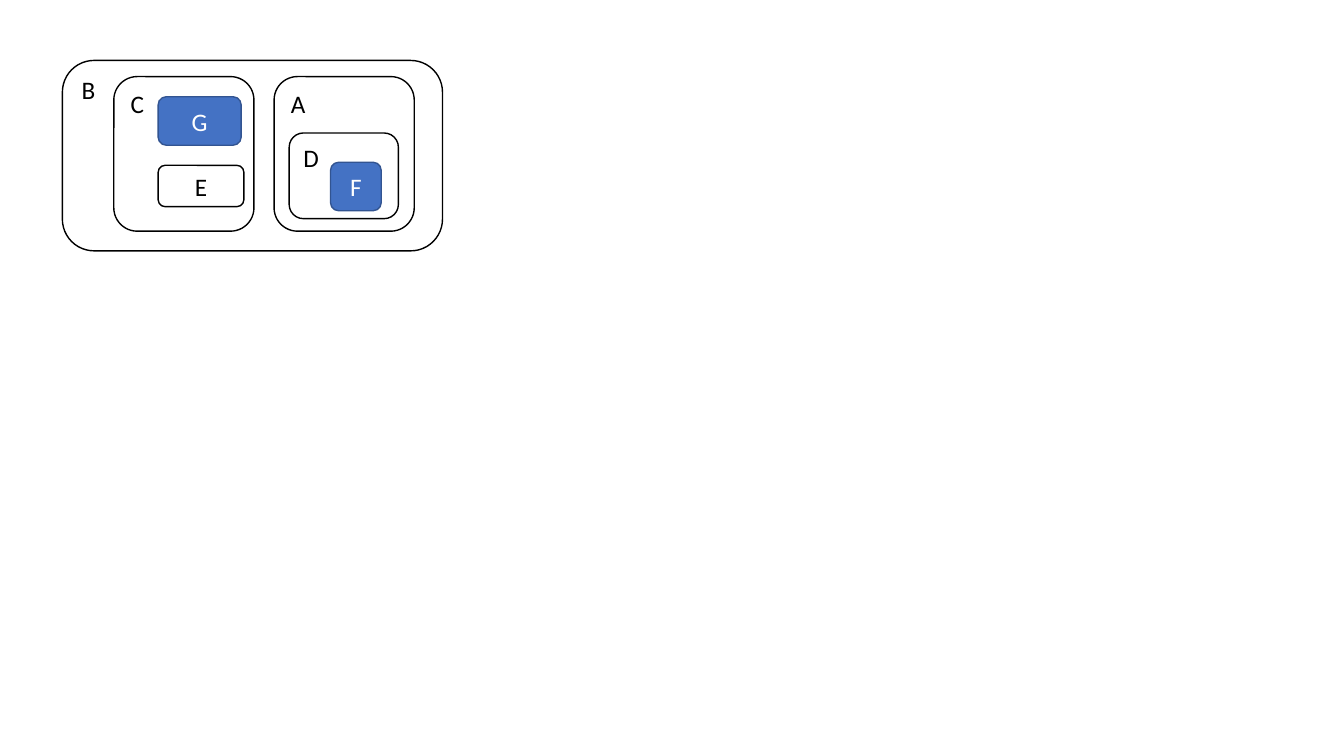
from pptx import Presentation
from pptx.dml.color import RGBColor
from pptx.enum.shapes import MSO_SHAPE as Shape
from pptx.enum.text import MSO_ANCHOR as Anchor, PP_ALIGN as Align
from pptx.util import Pt

BLACK = RGBColor(0x00, 0x00, 0x00)
WHITE = RGBColor(0xFF, 0xFF, 0xFF)
BLUE = RGBColor(0x44, 0x72, 0xC4)
NAVY = RGBColor(0x32, 0x54, 0x91)

PLAIN = {"fill": WHITE, "line": BLACK, "ink": BLACK}
SOLID = {"fill": BLUE, "line": NAVY, "ink": WHITE}
GROUP = {"anchor": Anchor.TOP, "align": Align.LEFT}
LEAF = {"anchor": Anchor.MIDDLE, "align": Align.CENTER}
FONT = {"name": "Calibri", "size": Pt(18)}


def add_box(slide, label, box, look, place):
    left, top, width, height = box
    shape = slide.shapes.add_shape(
        Shape.ROUNDED_RECTANGLE, Pt(left), Pt(top), Pt(width), Pt(height))
    shape.shadow.inherit = False
    shape.fill.solid()
    shape.fill.fore_color.rgb = look["fill"]
    shape.line.color.rgb = look["line"]
    shape.line.width = Pt(1)
    frame = shape.text_frame
    frame.word_wrap = True
    frame.vertical_anchor = place["anchor"]
    par = frame.paragraphs[0]
    par.alignment = place["align"]
    run = par.add_run()
    run.text = label
    for key, value in FONT.items():
        setattr(run.font, key, value)
    run.font.color.rgb = look["ink"]


def draw_c(slide, box):
    left, top, _, _ = box
    add_box(slide, "C", box, PLAIN, GROUP)
    add_box(slide, "G", (left + 31.7, top + 14.4, 59.3, 34.6), SOLID, LEAF)
    add_box(slide, "E", (left + 31.7, top + 63.4, 61.2, 29.5), PLAIN, LEAF)


def draw_a(slide, box):
    left, top, _, _ = box
    add_box(slide, "A", box, PLAIN, GROUP)
    draw_d(slide, (left + 10.8, top + 40.3, 78, 61.2))


def draw_d(slide, box):
    left, top, _, _ = box
    add_box(slide, "D", box, PLAIN, GROUP)
    add_box(slide, "F", (left + 29.5, top + 20.9, 36.2, 34.6), SOLID, LEAF)


def draw_b(slide, box):
    left, top, _, _ = box
    add_box(slide, "B", box, PLAIN, GROUP)
    for draw, shift in ((draw_c, 36.7), (draw_a, 151.2)):
        draw(slide, (left + shift, top + 11.5, 100.1, 110.4))


def main():
    deck = Presentation()
    deck.slide_width, deck.slide_height = Pt(960), Pt(540)
    slide = deck.slides.add_slide(deck.slide_layouts[6])
    draw_b(slide, (44.6, 43.2, 271.5, 136))
    deck.save("out.pptx")


if __name__ == "__main__":
    main()
